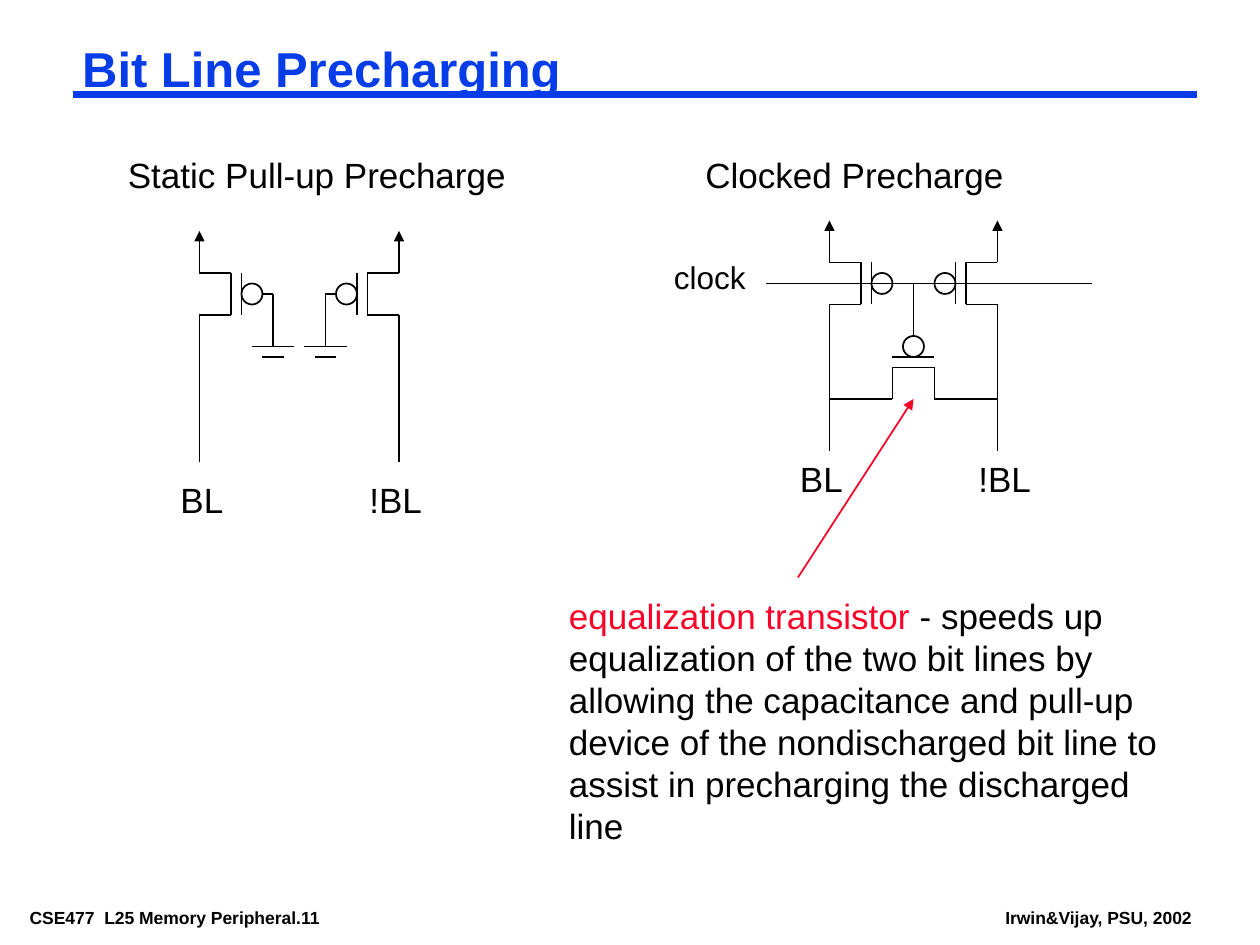
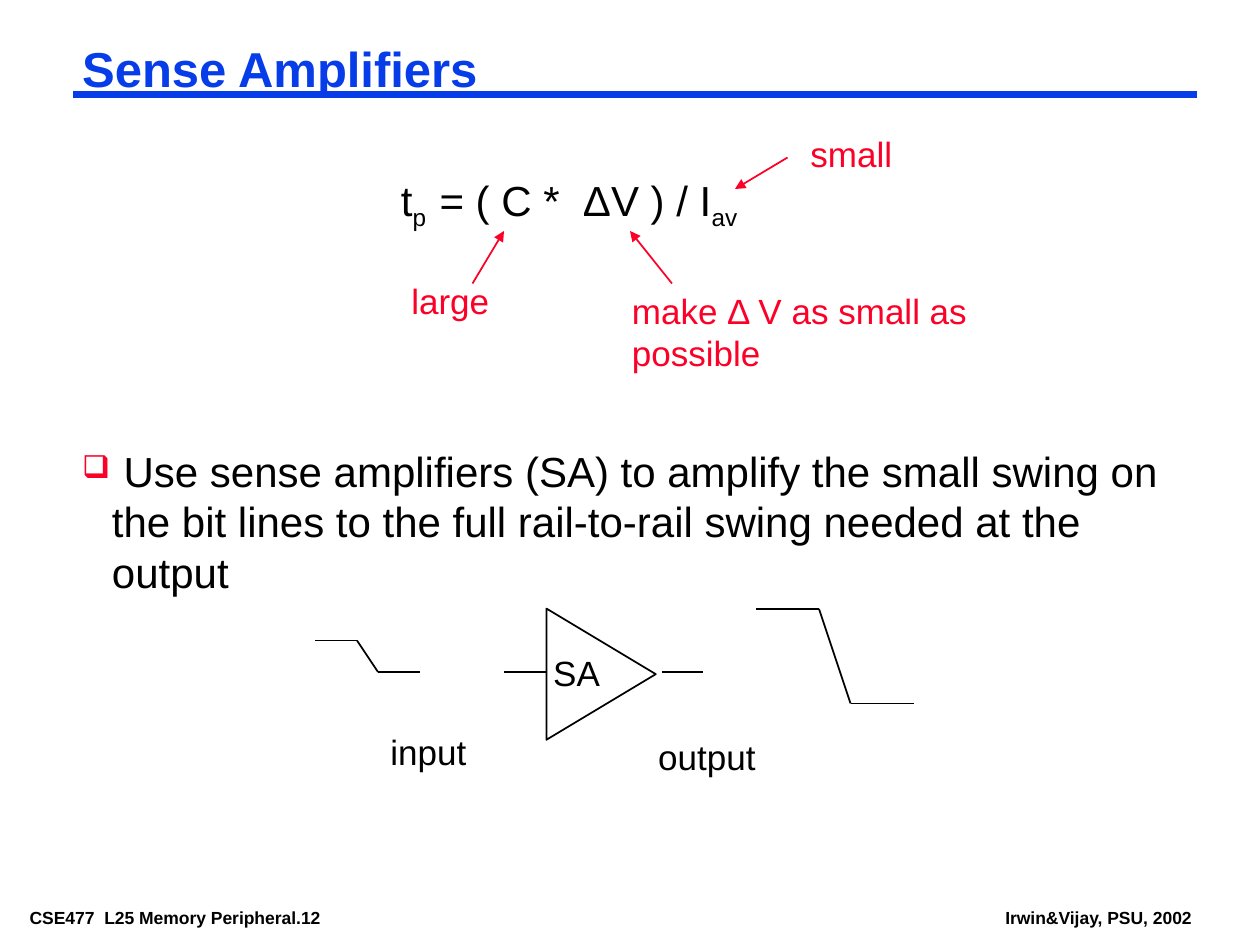
"""Build two lecture slides on bit line precharging and sense amplifiers."""
import pptx
import pptx.dml.color
import pptx.enum.shapes
import pptx.enum.text
import pptx.oxml
import pptx.oxml.ns
import pptx.util
import lxml.etree

Pt = pptx.util.Pt
color = pptx.dml.color.RGBColor.from_string
qn = pptx.oxml.ns.qn
SHAPES = pptx.enum.shapes.MSO_SHAPE
BLACK, BLUE, RED = "000000", "063DE8", "FC0128"
TITLE = {"size": Pt(28), "bold": True}
FOOTER = {"size": Pt(10), "bold": True}
LABEL = {"size": Pt(20)}
CLOCK = {"size": Pt(18)}
BODY = {"size": Pt(24)}
WIDE = (7.2, 3.6)
TIGHT = (5, 2.5)


def draw_line(page, x1, y1, x2, y2, ink=BLACK, weight=1, arrow=False):
    line = page.shapes.add_connector(
        pptx.enum.shapes.MSO_CONNECTOR.STRAIGHT, Pt(x1), Pt(y1), Pt(x2), Pt(y2))
    line.line.color.rgb = color(ink)
    line.line.width = Pt(weight)
    if arrow:
        tail = lxml.etree.SubElement(line.line._get_or_add_ln(), qn("a:tailEnd"))
        tail.set("type", "triangle")
    lxml.etree.SubElement(line._element.spPr, qn("a:effectLst"))


def write(page, spans, left, top, width, height, style=LABEL, insets=WIDE):
    box = page.shapes.add_textbox(Pt(left), Pt(top), Pt(width), Pt(height))
    frame = box.text_frame
    side, edge = insets
    layout = {"word_wrap": True, "margin_left": Pt(side), "margin_right": Pt(side),
              "margin_top": Pt(edge), "margin_bottom": Pt(edge),
              "vertical_anchor": pptx.enum.text.MSO_ANCHOR.TOP}
    for name, value in layout.items():
        setattr(frame, name, value)
    para = frame.paragraphs[0]
    for words, ink, baseline in spans:
        span = para.add_run()
        span.text = words
        span.font.name = "Arial"
        span.font.color.rgb = color(ink)
        for name, value in style.items():
            setattr(span.font, name, value)
        if baseline:
            span.font._element.set("baseline", str(baseline))
    return para


deck = pptx.Presentation()
deck.slide_width, deck.slide_height = Pt(720), Pt(540)
pages = []
for number, heading in [(11, "Bit Line Precharging"), (12, "Sense Amplifiers")]:
    page = deck.slides.add_slide(deck.slide_layouts[6])
    pages.append(page)
    write(page, [(f"CSE477  L25 Memory Peripheral.{number}", BLACK, 0)],
          12, 516, 213, 16, FOOTER, TIGHT)
    write(page, [("Irwin&Vijay, PSU, 2002", BLACK, 0)], 569.5, 516, 125, 16, FOOTER, TIGHT)
    draw_line(page, 42, 54, 684, 54, BLUE, 4.5)
    para = write(page, [(heading, BLUE, 0)], 42, 24, 642, 33, TITLE, TIGHT)
    para.line_spacing = 0.87
precharge, sense = pages

circles = [(516, 192)]
for bit_line, middle, side, grounded in [
        (114, 168, 1, True), (228, 168, -1, True),
        (474, 162, 1, False), (570, 162, -1, False)]:
    channel, gate = bit_line + 18 * side, bit_line + 24 * side
    upper, lower = middle - 12, middle + 12
    draw_line(precharge, channel, lower, channel, upper)
    draw_line(precharge, gate, lower, gate, upper)
    for level in (upper, lower):
        draw_line(precharge, channel, level, bit_line, level)
    draw_line(precharge, bit_line, upper, bit_line, middle - 36, arrow=True)
    draw_line(precharge, bit_line, lower, bit_line, middle + 96)
    circles.append((gate + 6 * side - 6, middle - 6))
    if grounded:
        ground = bit_line + 42 * side
        draw_line(precharge, ground - 6 * side, middle, ground, middle)
        draw_line(precharge, ground, middle, ground, middle + 30)
        draw_line(precharge, ground - 12, middle + 30, ground + 12, middle + 30)
        draw_line(precharge, ground - 6, middle + 36, ground + 6, middle + 36)

for x1, y1, x2, y2 in [
        (438, 162, 624, 162), (522, 162, 522, 192), (510, 204, 534, 204),
        (510, 210, 534, 210), (510, 210, 510, 228), (534, 210, 534, 228),
        (474, 228, 510, 228), (534, 228, 570, 228)]:
    draw_line(precharge, x1, y1, x2, y2)

for left, top in circles:
    circle = precharge.shapes.add_shape(SHAPES.OVAL, Pt(left), Pt(top), Pt(12), Pt(12))
    circle.shadow.inherit = False
    circle.fill.background()
    circle.line.color.rgb = color(BLACK)
    circle.line.width = Pt(1)

for words, left, top, width, style in [
        ("Static Pull-up Precharge", 66, 84, 240, LABEL),
        ("Clocked Precharge", 396, 84, 240, LABEL),
        ("clock", 378, 144, 60, CLOCK),
        ("BL", 96, 270, 54, LABEL), ("!BL", 204, 270, 54, LABEL),
        ("BL", 450, 258, 54, LABEL), ("!BL", 552, 258, 54, LABEL)]:
    write(precharge, [(words, BLACK, 0)], left, top, width, 31.5, style)

draw_line(precharge, 456, 330, 522, 228, RED, arrow=True)
write(precharge, [
    ("equalization transistor", RED, 0),
    (" - speeds up equalization of the two bit lines by allowing the capacitance "
     "and pull-up device of the nondischarged bit line to assist in precharging "
     "the discharged line", BLACK, 0)], 318, 336, 354, 151)

write(sense, [("t", BLACK, 0), ("p  ", BLACK, -25000),
              ("= ( C *  ΔV ) / I", BLACK, 0), ("av", BLACK, -25000)],
      222, 96, 222, 40, BODY)
for x1, y1, x2, y2 in [(270, 162, 288, 132), (450, 90, 420, 108), (384, 162, 360, 132)]:
    draw_line(sense, x1, y1, x2, y2, RED, arrow=True)

triangle = sense.shapes.add_shape(
    SHAPES.ISOSCELES_TRIANGLE, Pt(306), Pt(354), Pt(75), Pt(62.5))
triangle.rotation = 90
triangle.shadow.inherit = False
triangle.fill.background()
triangle.line.color.rgb = color(BLACK)
triangle.line.width = Pt(1)

for words, ink, left, top, width, height in [
        ("large", RED, 228, 156, 72, 31.5), ("small", RED, 456, 72, 72, 31.5),
        ("make Δ V as small as possible", RED, 354, 162, 222, 55.5),
        ("SA", BLACK, 309, 369, 54, 31.5), ("input", BLACK, 216, 414, 90, 31.5),
        ("output", BLACK, 369, 417, 90, 31.5)]:
    write(sense, [(words, ink, 0)], left, top, width, height)

for x1, y1, x2, y2 in [
        (180, 366, 204, 366), (204, 366, 216, 384), (216, 384, 240, 384),
        (288, 384, 312, 384), (378, 384, 402, 384),
        (432, 348, 468, 348), (468, 348, 486, 402), (486, 402, 522, 402)]:
    draw_line(sense, x1, y1, x2, y2)

para = write(sense, [
    (" Use sense amplifiers (SA) to amplify the small swing on the bit lines to "
     "the full rail-to-rail swing needed at the output", BLACK, 0)],
    42, 252, 642, 62, BODY, TIGHT)
properties = para._p.get_or_add_pPr()
properties.set("marL", str(Pt(17)))
properties.set("indent", str(-Pt(17)))
bullet_color = lxml.etree.SubElement(properties, qn("a:buClr"))
lxml.etree.SubElement(bullet_color, qn("a:srgbClr")).set("val", RED)
lxml.etree.SubElement(properties, qn("a:buSzPct")).set("val", "75000")
lxml.etree.SubElement(properties, qn("a:buChar")).set("char", "❑")

deck.save("out.pptx")
